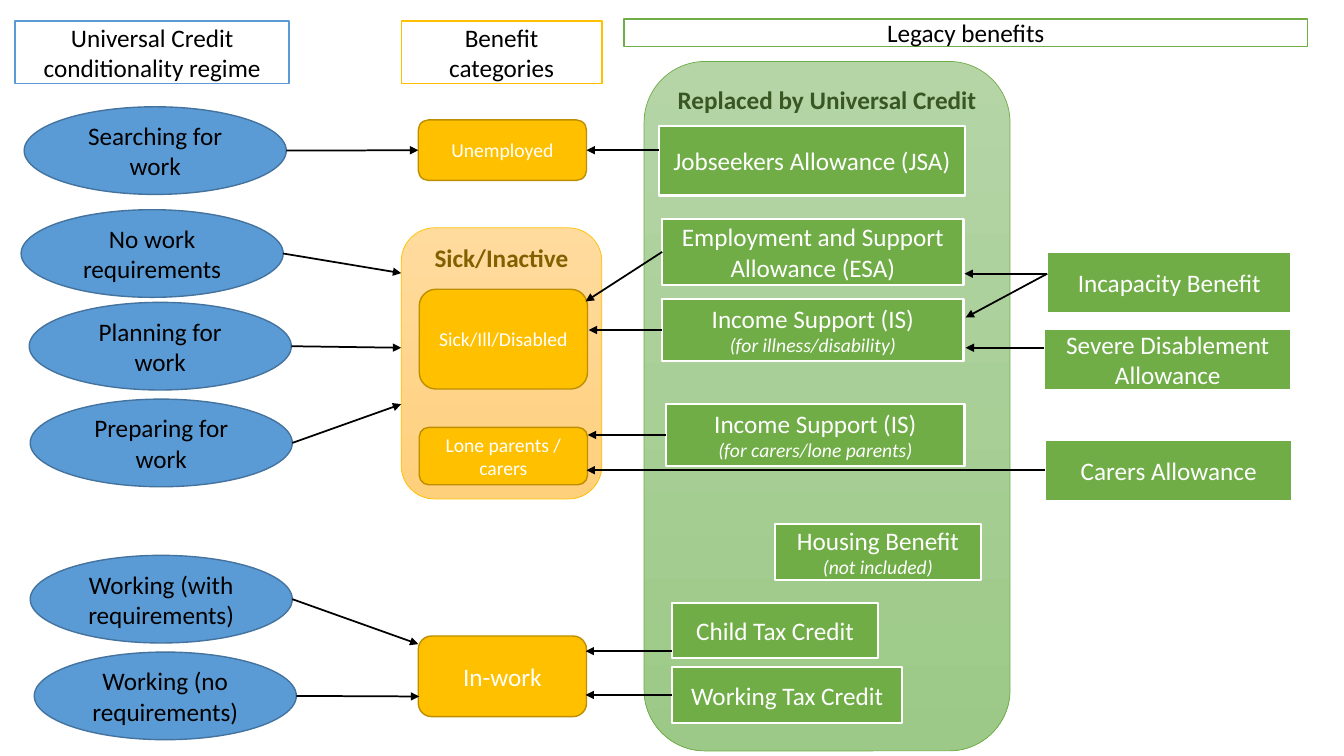
from lxml import etree
from pptx import Presentation
from pptx.dml.color import RGBColor
from pptx.enum.shapes import MSO_CONNECTOR, MSO_SHAPE
from pptx.enum.text import MSO_ANCHOR, PP_ALIGN
from pptx.oxml.ns import qn
from pptx.util import Pt

STRAIGHT = MSO_CONNECTOR.STRAIGHT
ELLIPSE = MSO_SHAPE.OVAL
RECTANGLE = MSO_SHAPE.RECTANGLE
ROUNDED = MSO_SHAPE.ROUNDED_RECTANGLE
TOP, MIDDLE = MSO_ANCHOR.TOP, MSO_ANCHOR.MIDDLE
CENTER = PP_ALIGN.CENTER
LEFT_SIDE, RIGHT_SIDE = 1, 3

BLACK, WHITE = "000000", "FFFFFF"
BLUE, AMBER, GREEN = "5B9BD5", "FFC000", "70AD47"
DARK_BLUE, DARK_AMBER = "43739E", "BD8E00"


def color(code):
    return RGBColor.from_string(code)


class BenefitMap:
    font = "Calibri"
    text_size = 18
    note_size = 14
    arrow_width = 1.25

    def __init__(self, slide):
        self.slide = slide

    def shape(self, kind, frame, line_color, line_width, anchor=MIDDLE):
        shape = self.slide.shapes.add_shape(kind, *map(Pt, frame))
        shape.shadow.inherit = False
        shape.line.color.rgb = color(line_color)
        shape.line.width = Pt(line_width)
        text_frame = shape.text_frame
        text_frame.word_wrap = True
        text_frame.vertical_anchor = anchor
        text_frame.paragraphs[0].alignment = CENTER
        return shape

    def run(self, paragraph, text, text_color, size=text_size, bold=False, italic=False):
        run = paragraph.add_run()
        run.text = text
        font = run.font
        font.name = self.font
        font.size = Pt(size)
        font.bold = bold
        font.italic = italic
        font.color.rgb = color(text_color)

    def solid(self, kind, label, frame, fill, line_color, line_width, text_color, size=text_size):
        shape = self.shape(kind, frame, line_color, line_width)
        shape.fill.solid()
        shape.fill.fore_color.rgb = color(fill)
        self.run(shape.text_frame.paragraphs[0], label, text_color, size)
        return shape

    def group_panel(self, label, frame, gradient, line_color, text_color):
        shape = self.shape(ROUNDED, frame, line_color, 0.5, TOP)
        shape.fill.gradient()
        shape.fill.gradient_angle = 270
        for stop, position, code in zip(shape.fill.gradient_stops, (0, 1), gradient):
            stop.position = position
            stop.color.rgb = color(code)
        self.run(shape.text_frame.paragraphs[0], label, text_color, bold=True)

    def header(self, label, frame, line_color):
        self.solid(RECTANGLE, label, frame, WHITE, line_color, 1, BLACK)

    def regime(self, label, left, top):
        return self.solid(ELLIPSE, label, (left, top, 187.2, 62.6), BLUE, DARK_BLUE, 1, BLACK)

    def category(self, label, frame, size=note_size):
        return self.solid(ROUNDED, label, frame, AMBER, DARK_AMBER, 1, WHITE, size)

    def benefit(self, label, frame, note=None, same_paragraph=False):
        shape = self.solid(RECTANGLE, label, frame, GREEN, WHITE, 1.5, WHITE)
        if note:
            text_frame = shape.text_frame
            paragraph = text_frame.paragraphs[0] if same_paragraph else text_frame.add_paragraph()
            paragraph.alignment = CENTER
            self.run(paragraph, note, WHITE, self.note_size, italic=True)
        return shape

    def arrow(self, start, end, start_joint=None, end_joint=None):
        connector = self.slide.shapes.add_connector(STRAIGHT, *map(Pt, start + end))
        connector.line.color.rgb = color(BLACK)
        connector.line.width = Pt(self.arrow_width)
        properties = connector.element.spPr
        etree.SubElement(properties.find(qn("a:ln")), qn("a:tailEnd"), type="triangle")
        etree.SubElement(properties, qn("a:effectLst"))
        if start_joint:
            connector.begin_connect(*start_joint)
        if end_joint:
            connector.end_connect(*end_joint)


def main():
    presentation = Presentation()
    presentation.slide_width, presentation.slide_height = Pt(960), Pt(540)
    benefit_map = BenefitMap(presentation.slides.add_slide(presentation.slide_layouts[6]))

    benefit_map.group_panel("Sick/Inactive", (286.6, 162.7, 143.3, 193.7),
                            ("FFDB9E", "FFD07C"), AMBER, "806000")
    benefit_map.group_panel("Replaced by Universal Credit", (460.1, 43.9, 261.4, 492.5),
                            ("B5D5A7", "9CC987"), GREEN, "385723")

    benefit_map.header("Universal Credit conditionality regime", (10.8, 15.1, 195.8, 44.6), BLUE)
    benefit_map.header("Benefit categories", (286.6, 15.1, 143.3, 44.6), AMBER)
    benefit_map.header("Legacy benefits", (445.7, 13.7, 488.2, 19.4), GREEN)

    unemployed = benefit_map.category("Unemployed", (298.8, 85.7, 120.2, 43.2))
    benefit_map.category("Sick/Ill/Disabled", (299.5, 206.6, 120.2, 71.3))
    benefit_map.category("Lone parents / carers", (299.5, 305.3, 120.2, 41))
    benefit_map.category("In-work", (298.8, 454.3, 120.2, 57.6), BenefitMap.text_size)

    regimes = (
        ("Searching for work", 17.3, 76.3, (298.8, 107.3), (unemployed, LEFT_SIDE)),
        ("No work requirements", 15.1, 149.8, (286.6, 195.1), None),
        ("Planning for work", 20.9, 216, (286.6, 248.4), None),
        ("Preparing for work", 21.6, 285.1, (286.6, 288.7), None),
        ("Working (with requirements)", 21.6, 396.7, (298.8, 460.1), None),
        ("Working (no requirements)", 24.5, 465.8, (299.5, 497.5), None),
    )
    for label, left, top, end, joint in regimes:
        regime = benefit_map.regime(label, left, top)
        start = (left + regime.width.pt, top + regime.height.pt / 2)
        benefit_map.arrow(start, end, end_joint=joint)

    jobseekers = benefit_map.benefit("Jobseekers Allowance (JSA)", (470.9, 90, 218.2, 49.7))
    employment = benefit_map.benefit("Employment and Support Allowance (ESA)",
                                     (473, 156.2, 215.3, 47.5))
    illness_support = benefit_map.benefit("Income Support (IS)", (473, 213.8, 215.3, 43.9),
                                          "(for illness/disability)")
    carer_support = benefit_map.benefit("Income Support (IS)", (475.9, 288.7, 213.1, 43.9),
                                        "(for carers/lone parents)")
    benefit_map.benefit("Housing Benefit ", (553.7, 374.4, 146.9, 39.6), "(not included)", True)
    child_credit = benefit_map.benefit("Child Tax Credit", (480.2, 430.6, 146.9, 39.6))
    working_credit = benefit_map.benefit("Working Tax Credit", (480.2, 476.6, 164.2, 39.6))
    incapacity = benefit_map.benefit("Incapacity Benefit", (748.1, 180, 174.2, 43.9))
    severe = benefit_map.benefit("Severe Disablement Allowance", (745.9, 234.7, 176.4, 43.9))
    carers = benefit_map.benefit("Carers Allowance", (746.6, 313.9, 176.4, 43.9))

    benefit_map.arrow((jobseekers.left.pt, 107.3), (419, 107.3),
                      end_joint=(unemployed, RIGHT_SIDE))
    middle_exits = (
        (employment, (418.3, 215.3)),
        (illness_support, (420.5, 235.75)),
        (carer_support, (419.8, 310.65)),
        (carers, (419, 335.85)),
        (working_credit, (418.3, 496.4)),
    )
    for benefit, end in middle_exits:
        start = (benefit.left.pt, benefit.top.pt + benefit.height.pt / 2)
        benefit_map.arrow(start, end, start_joint=(benefit, LEFT_SIDE))

    offset_exits = (
        (child_credit, 465.1, (418.3, 465.1)),
        (incapacity, 195.5, (689, 195.5)),
        (incapacity, 195.5, (689.8, 226.8)),
        (severe, 248.4, (689.8, 248.4)),
    )
    for benefit, exit_height, end in offset_exits:
        benefit_map.arrow((benefit.left.pt, exit_height), end)

    presentation.save("out.pptx")


if __name__ == "__main__":
    main()
